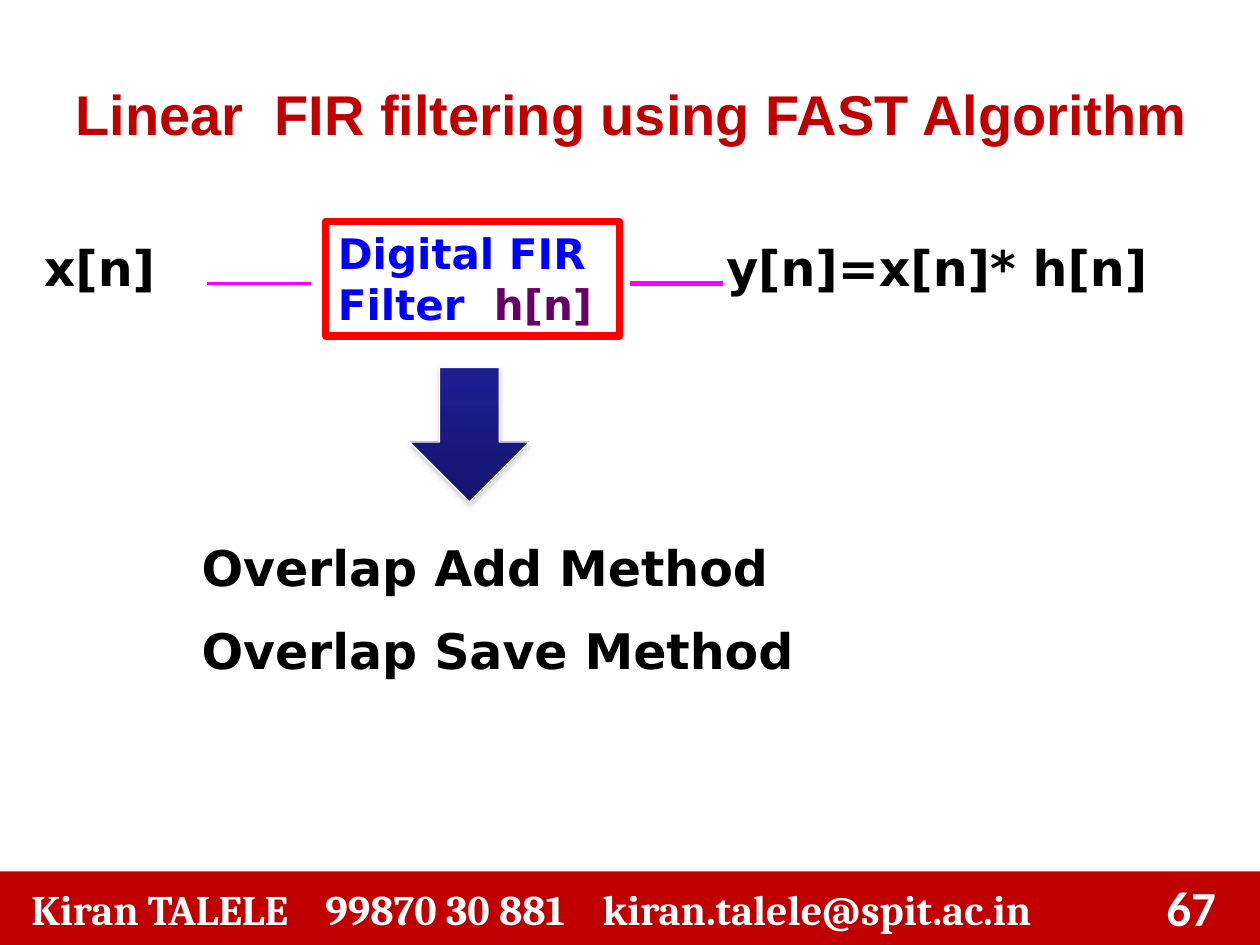
from lxml import etree
from pptx import Presentation
from pptx import util as u
from pptx.dml import color as dml
from pptx.enum import shapes, text
from pptx.oxml import ns

colour = dml.RGBColor.from_string
deck = Presentation()
deck.slide_width, deck.slide_height = u.Inches(10), u.Inches(7.5)
cell = deck.slide_width / 120


def grid(*cells):
    return [round(count * cell) for count in cells]


def write(box, *paras, font="DejaVu Sans", size=28, align="LEFT", anchor="TOP", gap=0, wrap=True):
    frame = box.text_frame
    frame.auto_size = text.MSO_AUTO_SIZE.NONE
    frame.word_wrap = wrap
    frame.vertical_anchor = text.MSO_ANCHOR[anchor]
    for index, spans in enumerate(paras):
        para = frame.add_paragraph() if index else frame.paragraphs[0]
        para.alignment = text.PP_ALIGN[align]
        para.space_before = u.Pt(gap if index else 0)
        for words, ink in spans:
            span = para.add_run()
            span.text = words
            span.font.name, span.font.size, span.font.bold = font, u.Pt(size), True
            span.font.color.rgb = colour(ink)


page = deck.slides.add_slide(deck.slide_layouts[1])
title, methods = page.placeholders

banner = page.shapes.add_shape(shapes.MSO_SHAPE.RECTANGLE, *grid(0, 83, 120, 7))
banner.shadow.inherit = False
banner.fill.solid()
banner.fill.fore_color.rgb = colour("C00000")
banner.line.fill.background()
banner.text_frame.margin_left = grid(3)[0]
write(banner, [("Kiran TALELE\t99870 30 881\tkiran.talele@spit.ac.in", "FFFFFF")],
      font="Cambria", size=24, anchor="MIDDLE")
tabs = etree.SubElement(banner.text_frame.paragraphs[0]._p.get_or_add_pPr(), ns.qn("a:tabLst"))
for stop in grid(28, 54.4):
    etree.SubElement(tabs, ns.qn("a:tab"), pos=str(stop), algn="l")

number = page.shapes.add_textbox(*grid(108.8, 83, 8.2, 7.4))
write(number, [("67", "FFFFFF")], font="Calibri", align="RIGHT")

block = page.shapes.add_shape(shapes.MSO_SHAPE.RECTANGLE, *grid(31, 21.1, 28, 10.9))
block.shadow.inherit = False
block.fill.background()
block.line.color.rgb = colour("FF0000")
block.line.width = u.Pt(4.5)
write(block, [("Digital FIR Filter  ", "0000FF"), ("h[n]", "660066")], size=24)

for start, end, width in [(19.7, 29.6, 2.25), (60, 68.9, 3)]:
    wire = page.shapes.add_connector(shapes.MSO_CONNECTOR.STRAIGHT, *grid(start, 27, end, 27))
    wire.line.color.rgb = colour("FF00FF")
    wire.line.width = u.Pt(width)
    etree.SubElement(wire._element.spPr, ns.qn("a:effectLst"))

for words, left, width in [("x[n]", 3, 14.4), ("y[n]=x[n]* h[n]", 68, 51)]:
    signal = page.shapes.add_textbox(*grid(left, 22, width, 6.9))
    write(signal, [(words, "000000")], wrap=False)

methods.left, methods.top, methods.width, methods.height = grid(18, 50.6, 64, 15.4)
write(methods, [("Overlap Add Method", "000000")], [("Overlap Save Method", "000000")], gap=14)
for para in methods.text_frame.paragraphs:
    layout = para._p.get_or_add_pPr()
    layout.set("marL", "0")
    layout.set("indent", "0")
    etree.SubElement(layout, ns.qn("a:buNone"))

title.left, title.top, title.width, title.height = grid(6, 7, 114, 7.7)
write(title, [("Linear  FIR filtering using FAST Algorithm", "C00000")], font="Arial", size=32)

arrow = page.shapes.add_shape(shapes.MSO_SHAPE.DOWN_ARROW, *grid(39, 35, 11.4, 12.8))
arrow.fill.gradient()
arrow.fill.gradient_angle = 270
for stop, ink in zip(arrow.fill.gradient_stops, ["1E1E93", "14146F"]):
    stop.color.rgb = colour(ink)
arrow.line.color.rgb = colour("FFFFFF")
arrow.line.width = u.Pt(0.75)
arrow.shadow.inherit = False
effects = arrow._element.spPr.find(ns.qn("a:effectLst"))
shadow = etree.SubElement(effects, ns.qn("a:outerShdw"), blurRad=str(u.Pt(3.1)),
                          dist=str(u.Pt(1.8)), dir="5400000", rotWithShape="0")
shade = etree.SubElement(shadow, ns.qn("a:srgbClr"), val="808080")
etree.SubElement(shade, ns.qn("a:alpha"), val="35000")

deck.save("out.pptx")
